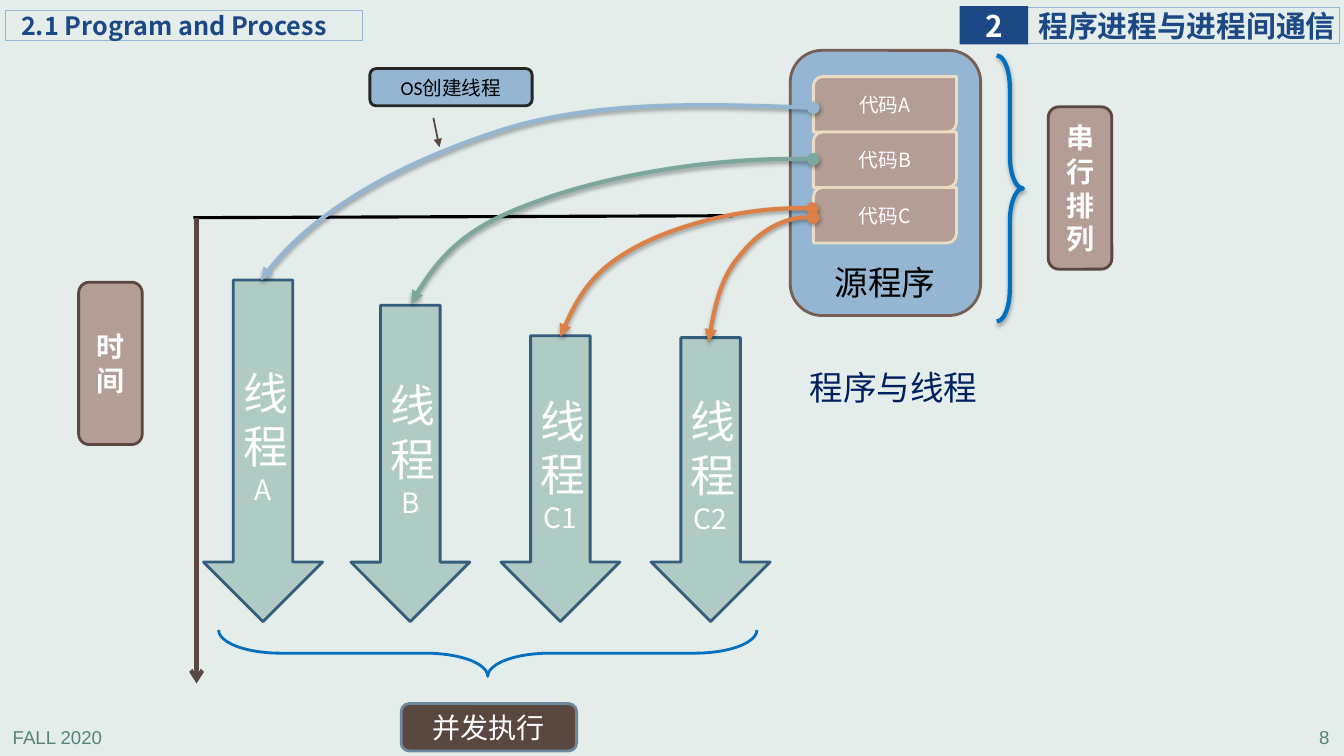
from lxml.etree import SubElement
from pptx import Presentation
from pptx.dml.color import RGBColor
from pptx.enum.shapes import MSO_CONNECTOR, MSO_SHAPE
from pptx.enum.text import MSO_ANCHOR, PP_ALIGN
from pptx.oxml.ns import qn
from pptx.util import Pt

COLORS = {
    "background": "E5EDEB", "navy": "1C4885", "title": "002060", "footer": "578279",
    "blue": "94B6D2", "brace": "0070C0", "green": "7BA79D", "orange": "DD8047",
    "thread": "B0CAC4", "thread_line": "355D7E", "code": "B39D94", "code_line": "EBDDC3",
    "brown": "594740", "program_line": "775F55", "run_line": "6D879B",
    "charcoal": "262626", "black": "000000", "white": "FFFFFF",
}
CHINESE_FONT = "Noto Sans CJK SC"
DEFAULT_INSETS = (7.2, 3.6, 7.2, 3.6)


def color(name):
    return RGBColor.from_string(COLORS[name])


def write_text(shape, runs, ink="white", font=CHINESE_FONT, bold=False, align=PP_ALIGN.CENTER,
               insets=DEFAULT_INSETS, wrap=True, spacing=1.0):
    """Fill the shape with one paragraph of (text, size) runs."""
    left, top, right, bottom = insets
    frame = shape.text_frame
    frame_format = {
        "word_wrap": wrap, "vertical_anchor": MSO_ANCHOR.MIDDLE,
        "margin_left": Pt(left), "margin_top": Pt(top),
        "margin_right": Pt(right), "margin_bottom": Pt(bottom),
    }
    for name, value in frame_format.items():
        setattr(frame, name, value)
    paragraph = frame.paragraphs[0]
    paragraph.alignment = align
    paragraph.line_spacing = spacing
    for text, size in runs:
        run = paragraph.add_run()
        run.text = text
        for name, value in {"name": font, "size": Pt(size), "bold": bold}.items():
            setattr(run.font, name, value)
        run.font.color.rgb = color(ink)
        SubElement(run.font._element, qn("a:ea"), typeface=CHINESE_FONT)


def style_line(shape, name, width, head=None, tail=None):
    shape.line.color.rgb = color(name)
    shape.line.width = Pt(width)
    line = shape.line._get_or_add_ln()
    for tag, end in (("a:headEnd", head), ("a:tailEnd", tail)):
        if end:
            SubElement(line, qn(tag), type=end)


def add_soft_shadow(shape):
    effects = shape._element.spPr.find(qn("a:effectLst"))
    shadow = SubElement(effects, qn("a:outerShdw"), blurRad=str(Pt(3.1)), dist=str(Pt(1.8)),
                        dir="5400000", rotWithShape="0")
    tint = SubElement(shadow, qn("a:srgbClr"), val=COLORS["black"])
    SubElement(tint, qn("a:alpha"), val="35000")


def add_box(slide, kind, box, fill=None, line=None, width=2):
    shape = slide.shapes.add_shape(kind, *map(Pt, box))
    shape.shadow.inherit = False
    if fill:
        shape.fill.solid()
        shape.fill.fore_color.rgb = color(fill)
    else:
        shape.fill.background()
    if line:
        style_line(shape, line, width)
    else:
        shape.line.fill.background()
    return shape


def add_label(slide, box, text, size, **text_format):
    label = slide.shapes.add_textbox(*map(Pt, box))
    write_text(label, [(text, size)], **text_format)


def add_line(slide, start, end, name, width, tail=None):
    line = slide.shapes.add_connector(MSO_CONNECTOR.STRAIGHT, *map(Pt, start + end))
    style_line(line, name, width, tail=tail)
    SubElement(line._element.spPr, qn("a:effectLst"))


def add_curve(slide, points, name):
    """Draw cubic curves through a start point and then three points per curve."""
    (left, top), *controls = [(Pt(x), Pt(y)) for x, y in points]
    builder = slide.shapes.build_freeform(left, top)
    builder.add_line_segments(controls, close=False)
    curve = builder.convert_to_shape()
    outline = next(curve._element.iter(qn("a:path")))
    segments = outline.findall(qn("a:lnTo"))
    for first in range(0, len(segments), 3):
        cubic = SubElement(outline, qn("a:cubicBezTo"))
        for segment in segments[first:first + 3]:
            cubic.append(segment[0])
            outline.remove(segment)
    curve.shadow.inherit = False
    curve.fill.background()
    style_line(curve, name, 3, head="oval", tail="triangle")
    add_soft_shadow(curve)


def add_header(slide, left, top):
    heading = {"ink": "navy", "bold": True, "align": PP_ALIGN.LEFT}
    section = add_box(slide, MSO_SHAPE.RECTANGLE, (left, top + 3, 255.6, 21.6), None, "blue", 0.75)
    write_text(section, [("2.1 Program and Process", 18)], insets=(11.5, 0, 0, 0), **heading)
    chapter = add_box(slide, MSO_SHAPE.RECTANGLE, (left + 730.1, top + 0.8, 223.2, 26),
                      None, "blue", 0.75)
    write_text(chapter, [("程序进程与进程间通信", 21.3)], insets=(8, 0, 0, 0), wrap=False, **heading)
    number = add_box(slide, MSO_SHAPE.RECTANGLE, (left + 681.8, top, 49, 27.4), "navy")
    write_text(number, [("2", 21.3)], bold=True, insets=(0, 0, 0, 0), wrap=False)


def add_footer(slide, left, top, width):
    for text, align in (("FALL 2020", PP_ALIGN.LEFT), ("8", PP_ALIGN.RIGHT)):
        add_label(slide, (left, top, width, 22.5), text, 13.3, ink="footer", font="Arial", align=align)


def add_time_axis(slide, left, top):
    add_line(slide, (left - 2.2, top), (left + 383, top - 1.4), "black", 2.25)
    add_line(slide, (left, top), (left, top + 332.7), "brown", 3, tail="arrow")


def add_threads(slide, bottom):
    threads = (("A", 145.4, 200), ("B", 250.6, 218), ("C1", 357.8, 239.8), ("C2", 465.1, 241.2))
    for name, left, top in threads:
        arrow = add_box(slide, MSO_SHAPE.DOWN_ARROW, (left, top, 85, bottom - top),
                        "thread", "thread_line")
        write_text(arrow, [("线程", 32), (name, 20)])


def add_program(slide, left, top):
    add_box(slide, MSO_SHAPE.ROUNDED_RECTANGLE, (left, top, 136, 189.4), "blue", "program_line")
    height = 39.6
    for row, name in enumerate("ABC"):
        code = add_box(slide, MSO_SHAPE.ROUND_2_DIAG_RECTANGLE,
                       (left + 16.5, top + 18.7 + row * height, 102.2, height), "code", "code_line")
        write_text(code, [("代码" + name, 14)])
    add_label(slide, (left + 24.5, top + 147.6, 87, 36), "源程序", 24,
              ink="black", align=PP_ALIGN.LEFT, wrap=False)


def add_thread_curves(slide):
    curves = (
        ("blue", [(581, 77), (504, 74.2), (427, 72), (360.7, 92.2),
                  (295.2, 113), (223.2, 148.3), (186.5, 200.2)]),
        ("green", [(581, 113.8), (513.4, 111.6), (434.9, 125.3), (387.4, 142.6),
                   (339.1, 159.1), (314.6, 179.3), (293.8, 216.7)]),
        ("orange", [(580.3, 149), (537.8, 146.9), (488.9, 159.1), (458.6, 174.2),
                    (429.1, 189.4), (414, 206.6), (400.3, 240.5)]),
        ("orange", [(581, 155.5), (563, 153.4), (542.9, 164.9), (530.6, 180),
                    (517.7, 194.4), (511.2, 211.7), (506.2, 244.1)]),
    )
    for name, points in curves:
        add_curve(slide, points, name)


def add_creation_note(slide, left, top):
    note = add_box(slide, MSO_SHAPE.ROUNDED_RECTANGLE, (left, top, 115.9, 26.6), "blue", "charcoal")
    write_text(note, [("OS创建线程", 14)], ink="black", font="Calibri")
    add_line(slide, (left + 45.4, top + 35.2), (left + 49.7, top + 56.1), "brown", 1.25, "triangle")


def add_tall_caption(slide, left, top, text):
    caption = add_box(slide, MSO_SHAPE.ROUNDED_RECTANGLE, (left, top, 45.4, 116), "code", "brown")
    write_text(caption, [(text, 20)], bold=True)


def add_serial_order(slide, left, top):
    brace = add_box(slide, MSO_SHAPE.RIGHT_BRACE, (left, top, 18.7, 190), None, "brace", 3)
    brace.adjustments[0] = 1.25
    add_soft_shadow(brace)
    add_tall_caption(slide, left + 36.8, top + 36.7, "串行排列")


def add_concurrent_run(slide, left, top):
    width, depth = 384.5, 33.1
    brace = add_box(slide, MSO_SHAPE.LEFT_BRACE,
                    (left + (width - depth) / 2, top - (width - depth) / 2, depth, width),
                    None, "brace")
    brace.rotation = 270
    brace.adjustments[0] = 1.34
    run_box = add_box(slide, MSO_SHAPE.FLOWCHART_ALTERNATE_PROCESS,
                      (left + 130.4, top + 52.6, 125.3, 33.8), "brown", "run_line")
    write_text(run_box, [("并发执行", 20)])


def main():
    presentation = Presentation()
    presentation.slide_width, presentation.slide_height = Pt(960), Pt(540)
    slide = presentation.slides.add_slide(presentation.slide_layouts[6])
    slide.background.fill.solid()
    slide.background.fill.fore_color.rgb = color("background")
    add_footer(slide, 2, 515.5, 954.7)
    add_header(slide, 3.6, 4.3)
    add_label(slide, (572.4, 247, 132.5, 62.6), "程序与线程", 24, ink="title",
              align=PP_ALIGN.LEFT, insets=(5.8, 2.9, 5.8, 2.9), spacing=0.9)
    add_time_axis(slide, 140.4, 155.5)
    add_threads(slide, 444)
    add_program(slide, 564.5, 36)
    add_thread_curves(slide)
    add_creation_note(slide, 264.2, 49)
    add_concurrent_run(slide, 156.2, 450)
    add_serial_order(slide, 712, 39.6)
    add_tall_caption(slide, 56.2, 201.6, "时间")
    presentation.save("out.pptx")


if __name__ == "__main__":
    main()
